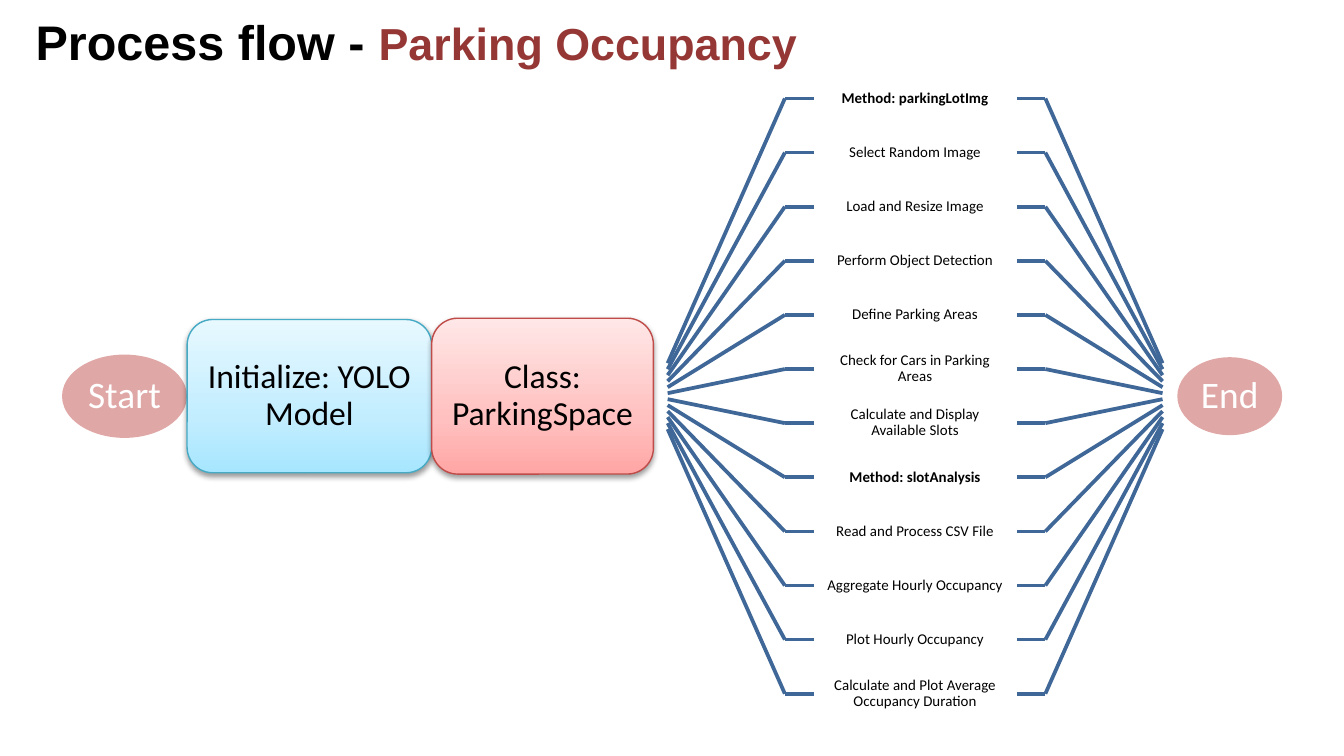
import dataclasses
import typing

import pptx
import pptx.dml.color
import pptx.enum.shapes
import pptx.enum.text
import pptx.oxml
import pptx.oxml.ns
import pptx.util

RGBColor = pptx.dml.color.RGBColor
Shapes = pptx.enum.shapes.MSO_SHAPE
Align = pptx.enum.text.PP_ALIGN
Anchor = pptx.enum.text.MSO_ANCHOR

BLACK = RGBColor(0x00, 0x00, 0x00)
WHITE = RGBColor(0xFF, 0xFF, 0xFF)
DARK_RED = RGBColor(0x95, 0x37, 0x35)
RED = RGBColor(0xC0, 0x50, 0x4D)
LINE_BLUE = RGBColor(0x3F, 0x67, 0x97)
BOX_BLUE = RGBColor(0x46, 0xAA, 0xC5)
BOX_RED = RGBColor(0xBF, 0x4C, 0x48)
BLUE_SHADES = (RGBColor(0xA7, 0xE6, 0xFF), RGBColor(0xC1, 0xED, 0xFF), RGBColor(0xE7, 0xF8, 0xFF))
RED_SHADES = (RGBColor(0xFF, 0xA6, 0xA5), RGBColor(0xFF, 0xC0, 0xBF), RGBColor(0xFF, 0xE7, 0xE7))
SHADE_STOPS = (0, 35, 100)

# The slide is 16:9, on a grid of square cells, 100 columns wide.
SLIDE_WIDTH = pptx.util.Inches(10)
SLIDE_HEIGHT = SLIDE_WIDTH * 9 // 16
CELL = SLIDE_WIDTH / 100

STEPS = (
    "Method: parkingLotImg",
    "Select Random Image",
    "Load and Resize Image",
    "Perform Object Detection",
    "Define Parking Areas",
    "Check for Cars in Parking Areas",
    "Calculate and Display Available Slots",
    "Method: slotAnalysis",
    "Read and Process CSV File",
    "Aggregate Hourly Occupancy",
    "Plot Hourly Occupancy",
    "Calculate and Plot Average Occupancy Duration",
)
FIRST_STEP_ROW, LAST_STEP_ROW = 7.33, 51.62
FIRST_FAN_ROW, LAST_FAN_ROW = 27.03, 31.93
LABEL_LEFT, LABEL_WIDTH, LABEL_HEIGHT = 60.54, 15.1, 4.03


class Box(typing.NamedTuple):
    """Left, top, width and height in grid cells."""
    left: float
    top: float
    width: float
    height: float

    def lengths(self) -> list[int]:
        return [cells(value) for value in self]


class Bracket(typing.NamedTuple):
    """Columns of the fan point, the bend and the label edge on one side."""
    fan: float
    bend: float
    label: float


@dataclasses.dataclass(frozen=True)
class Terminal:
    text: str
    box: Box


@dataclasses.dataclass(frozen=True)
class Stage:
    text: str
    box: Box
    shades: tuple[RGBColor, ...]
    outline: RGBColor


START = Terminal("Start", Box(4.62, 26.38, 9.3, 6.2))
END = Terminal("End", Box(87.6, 26.58, 7.8, 5.8))
STAGES = (
    Stage("Initialize: YOLO Model", Box(13.92, 23.78, 18.2, 11.4), BLUE_SHADES, BOX_BLUE),
    Stage("Class: ParkingSpace", Box(32.12, 23.68, 16.5, 11.6), RED_SHADES, BOX_RED),
)
BRACKETS = (
    Bracket(49.68, 58.4, LABEL_LEFT),
    Bracket(86.5, 77.78, LABEL_LEFT + LABEL_WIDTH),
)


def cells(count: float) -> int:
    return round(count * CELL)


def set_format(target: typing.Any, values: dict[str, typing.Any]) -> None:
    for name, value in values.items():
        setattr(target, name, value)


def set_frame(frame: typing.Any, inset: float, anchor: typing.Any) -> None:
    sides = ("margin_left", "margin_top", "margin_right", "margin_bottom")
    set_format(frame, dict.fromkeys(sides, cells(inset)))
    set_format(frame, {"word_wrap": True, "vertical_anchor": anchor})


def add_run(paragraph: typing.Any, text: str, size: float, color: RGBColor,
            name: str = "Calibri", bold: bool = False) -> None:
    run = paragraph.add_run()
    run.text = text
    set_format(run.font, {"name": name, "size": pptx.util.Pt(size), "bold": bold})
    run.font.color.rgb = color


def write_centered(shape: typing.Any, text: str, size: float, color: RGBColor,
                   inset: float = 0, bold: bool = False) -> None:
    set_frame(shape.text_frame, inset, Anchor.MIDDLE)
    paragraph = shape.text_frame.paragraphs[0]
    set_format(paragraph, {"alignment": Align.CENTER, "line_spacing": 0.9})
    add_run(paragraph, text, size, color, bold=bold)


def add_child(parent: typing.Any, tag: str, **attributes: typing.Any) -> typing.Any:
    child = parent.makeelement(pptx.oxml.ns.qn(tag), {key: str(value) for key, value in attributes.items()})
    parent.append(child)
    return child


def fill_gradient(shape: typing.Any, shades: tuple[RGBColor, ...]) -> None:
    """Fill from bottom to top with the shades at SHADE_STOPS."""
    shape.fill.gradient()
    shape.fill.gradient_angle = 90
    stops = next(shape._element.spPr.iter(pptx.oxml.ns.qn("a:gsLst")))
    for old_stop in list(stops):
        stops.remove(old_stop)
    for position, shade in zip(SHADE_STOPS, shades):
        stop = add_child(stops, "a:gs", pos=position * 1000)
        add_child(stop, "a:srgbClr", val=shade)


def add_title(slide: typing.Any) -> None:
    frame = slide.shapes.add_textbox(*Box(2.65, 0.8, 60.8, 4.5).lengths()).text_frame
    set_frame(frame, 0, Anchor.TOP)
    frame.margin_top = cells(0.1)
    paragraph = frame.paragraphs[0]
    paragraph.space_before = pptx.util.Pt(1.1)
    add_run(paragraph, "Process flow - ", 26, BLACK, "Arial", True)
    add_run(paragraph, "Parking Occupancy", 24, DARK_RED, "Arial", True)


def add_terminal(slide: typing.Any, terminal: Terminal) -> None:
    shape = slide.shapes.add_shape(Shapes.OVAL, *terminal.box.lengths())
    shape.shadow.inherit = False
    shape.fill.solid()
    shape.fill.fore_color.rgb = RED
    color = next(shape._element.spPr.iter(pptx.oxml.ns.qn("a:srgbClr")))
    add_child(color, "a:alpha", val=50000)
    shape.line.fill.background()
    write_centered(shape, terminal.text, 20, WHITE)


def add_stage(slide: typing.Any, stage: Stage) -> None:
    shape = slide.shapes.add_shape(Shapes.ROUNDED_RECTANGLE, *stage.box.lengths())
    fill_gradient(shape, stage.shades)
    shape.line.color.rgb = stage.outline
    shape.line.width = pptx.util.Pt(0.75)
    shape.shadow.inherit = False
    effects = shape._element.spPr.find(pptx.oxml.ns.qn("a:effectLst"))
    shadow = add_child(effects, "a:outerShdw", blurRad=pptx.util.Pt(3.1), dist=pptx.util.Pt(1.6),
                       dir=90 * 60000, rotWithShape=0)
    add_child(add_child(shadow, "a:srgbClr", val=BLACK), "a:alpha", val=38000)
    write_centered(shape, stage.text, 18, BLACK)


def add_line(slide: typing.Any, *ends: float) -> None:
    """Draw a line between two points given as column, row, column, row."""
    line = slide.shapes.add_connector(pptx.enum.shapes.MSO_CONNECTOR.STRAIGHT, *map(cells, ends))
    line.line.color.rgb = LINE_BLUE
    line.line.width = pptx.util.Pt(2)
    add_child(line._element.spPr, "a:effectLst")


def add_step(slide: typing.Any, index: int, text: str) -> None:
    share = index / (len(STEPS) - 1)
    row = FIRST_STEP_ROW + share * (LAST_STEP_ROW - FIRST_STEP_ROW)
    fan_row = FIRST_FAN_ROW + share * (LAST_FAN_ROW - FIRST_FAN_ROW)
    for bracket in BRACKETS:
        add_line(slide, bracket.fan, fan_row, bracket.bend, row)
        add_line(slide, bracket.bend, row, bracket.label, row)
    box = Box(LABEL_LEFT, row - LABEL_HEIGHT / 2, LABEL_WIDTH, LABEL_HEIGHT)
    label = slide.shapes.add_textbox(*box.lengths())
    write_centered(label, text, 8, BLACK, inset=0.6, bold=text.startswith("Method:"))


def main() -> None:
    presentation = pptx.Presentation()
    set_format(presentation, {"slide_width": SLIDE_WIDTH, "slide_height": SLIDE_HEIGHT})
    slide = presentation.slides.add_slide(presentation.slide_layouts[6])
    add_title(slide)
    add_terminal(slide, START)
    for stage in STAGES:
        add_stage(slide, stage)
    for index, text in enumerate(STEPS):
        add_step(slide, index, text)
    add_terminal(slide, END)
    presentation.save("out.pptx")


if __name__ == "__main__":
    main()
